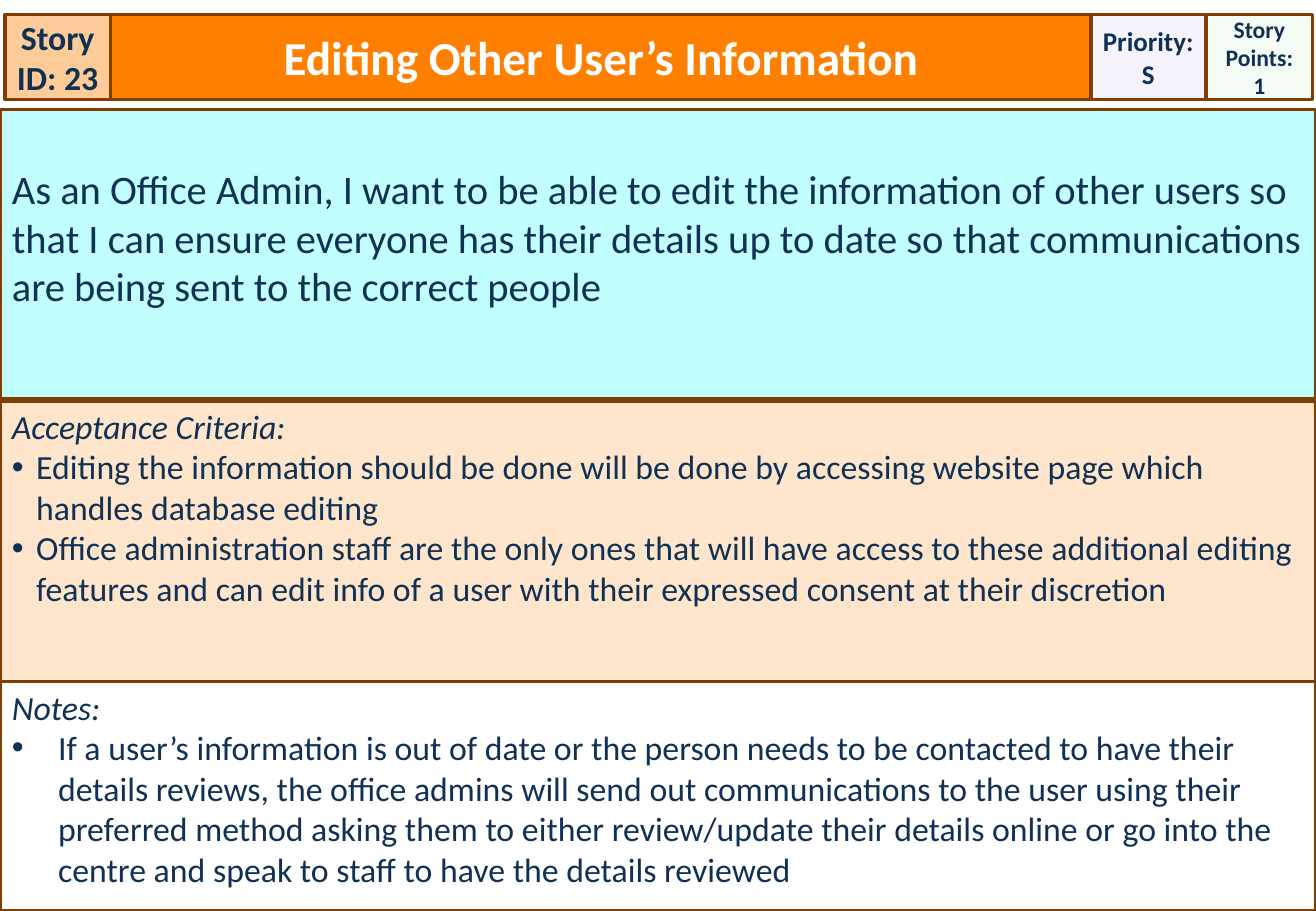
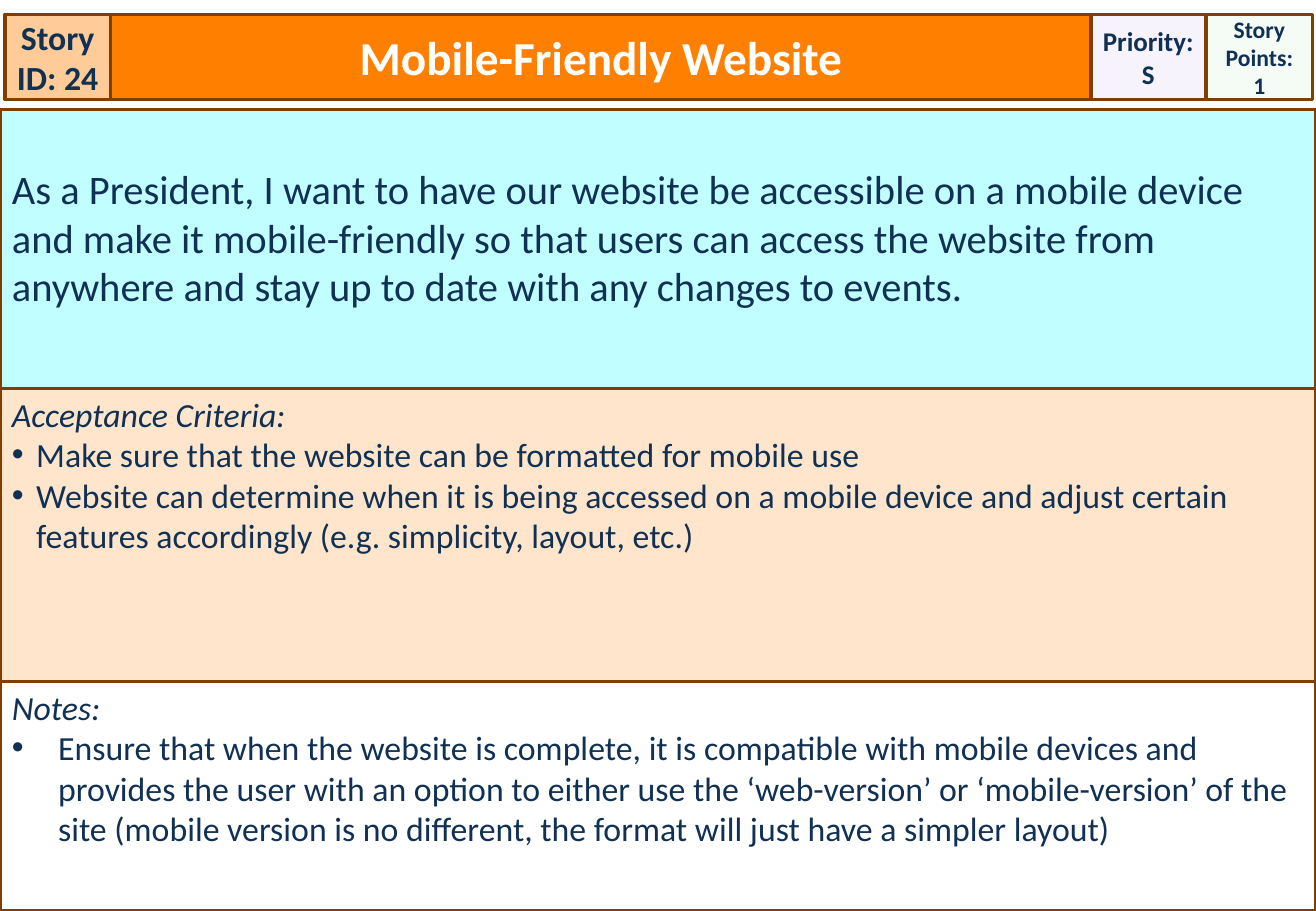
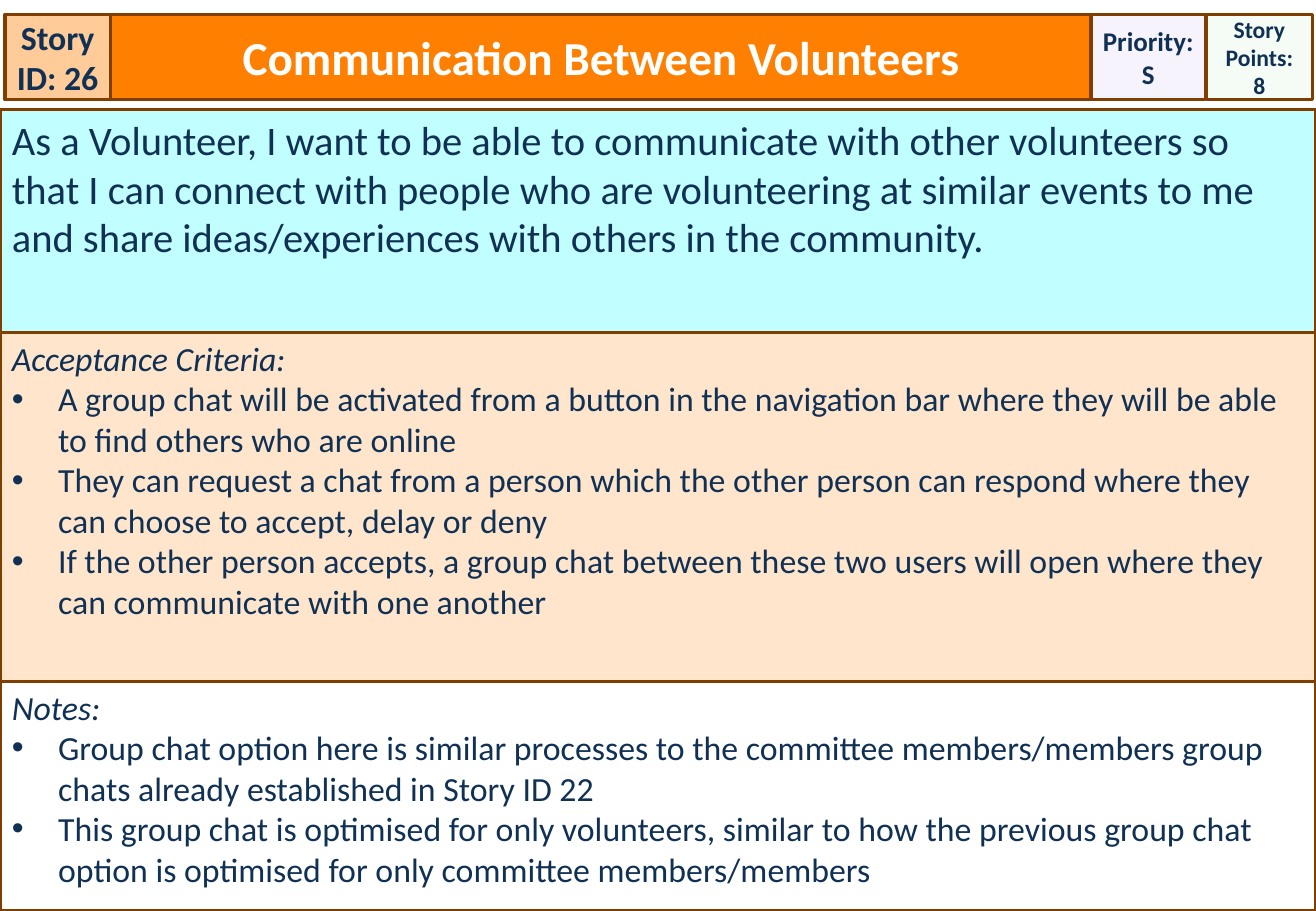
"""Build three user story cards, one per slide."""
from lxml.etree import SubElement
from pptx import Presentation
from pptx.dml.color import RGBColor
from pptx.enum.shapes import MSO_SHAPE
from pptx.enum.text import MSO_ANCHOR, PP_ALIGN
from pptx.oxml.ns import qn
from pptx.util import Inches, Pt

WIDTH, HEIGHT = 10.83, 7.5
FONT = "Calibri"
NAVY, BROWN, WHITE = "103154", "803F00", "FFFFFF"
ORANGE, PEACH, CREAM = "FF7F01", "FFCC99", "FFE5CC"
CYAN, LILAC, GREEN = "C0FEFF", "F6F3FC", "CCF0CD"
HEADER_TOP, HEADER_HEIGHT = 0.12, 0.7
STORY_TOP, NOTES_TOP = 0.9, 5.61
NARROW, WIDE = 0.2, 0.38

CARDS = [
    {
        "id": 23, "points": "1", "title": "Editing Other User’s Information",
        "story": "As an Office Admin, I want to be able to edit the information of other users so that I can "
                 "ensure everyone has their details up to date so that communications are being sent to the "
                 "correct people",
        "story_inset": 0.45, "story_bottom": 3.28, "criteria_top": 3.3, "criteria_indent": NARROW,
        "criteria": [
            "Editing the information should be done will be done by accessing website page which handles "
            "database editing",
            "Office administration staff are the only ones that will have access to these additional editing "
            "features and can edit info of a user with their expressed consent at their discretion",
        ],
        "notes": [
            "If a user’s information is out of date or the person needs to be contacted to have their details "
            "reviews, the office admins will send out communications to the user using their preferred method "
            "asking them to either review/update their details online or go into the centre and speak to staff "
            "to have the details reviewed",
        ],
    },
    {
        "id": 24, "points": "1", "title": "Mobile-Friendly Website",
        "story": "As a President, I want to have our website be accessible on a mobile device and make it "
                 "mobile-friendly so that users can access the website from anywhere and stay up to date with "
                 "any changes to events.",
        "story_inset": 0.45, "story_bottom": 3.2, "criteria_top": 3.2, "criteria_indent": NARROW,
        "criteria": [
            "Make sure that the website can be formatted for mobile use",
            "Website can determine when it is being accessed on a mobile device and adjust certain features "
            "accordingly (e.g. simplicity, layout, etc.)",
        ],
        "notes": [
            "Ensure that when the website is complete, it is compatible with mobile devices and provides the "
            "user with an option to either use the ‘web-version’ or ‘mobile-version’ of the site (mobile "
            "version is no different, the format will just have a simpler layout)",
        ],
    },
    {
        "id": 26, "points": "8", "title": "Communication Between Volunteers",
        "story": "As a Volunteer, I want to be able to communicate with other volunteers so that I can connect "
                 "with people who are volunteering at similar events to me and share ideas/experiences with "
                 "others in the community.",
        "story_inset": 0.05, "story_bottom": 2.76, "criteria_top": 2.74, "criteria_indent": WIDE,
        "criteria": [
            "A group chat will be activated from a button in the navigation bar where they will be able to "
            "find others who are online",
            "They can request a chat from a person which the other person can respond where they can choose "
            "to accept, delay or deny",
            "If the other person accepts, a group chat between these two users will open where they can "
            "communicate with one another",
        ],
        "notes": [
            "Group chat option here is similar processes to the committee members/members group chats already "
            "established in Story ID 22",
            "This group chat is optimised for only volunteers, similar to how the previous group chat option "
            "is optimised for only committee members/members",
        ],
    },
]


def paint(target, color):
    """Give a fill or a font a solid colour from a hex string."""
    if hasattr(target, "solid"):
        target.solid()
        target.fore_color.rgb = RGBColor.from_string(color)
    else:
        target.color.rgb = RGBColor.from_string(color)


def add_box(page, place, fill, lines, size, color=NAVY, header=False, side=0.1, top=0.05, indent=None):
    """Add a bordered box; with an indent, lines after the first are bullets under an italic heading."""
    box = page.shapes.add_shape(MSO_SHAPE.RECTANGLE, *[Inches(value) for value in place])
    box.shadow.inherit = False
    paint(box.fill, fill)
    paint(box.line, BROWN) if hasattr(box.line, "solid") else paint(box.line.fill, BROWN)
    box.line.width = Pt(2)
    frame = box.text_frame
    frame.word_wrap = True
    frame.vertical_anchor = MSO_ANCHOR.MIDDLE if header else MSO_ANCHOR.TOP
    frame.margin_left = frame.margin_right = Inches(side)
    frame.margin_top, frame.margin_bottom = Inches(top), Inches(0.05)
    for number, line in enumerate(lines):
        para = frame.add_paragraph() if number else frame.paragraphs[0]
        para.alignment = PP_ALIGN.CENTER if header else PP_ALIGN.LEFT
        span = para.add_run()
        span.text = line
        span.font.name, span.font.size = FONT, Pt(size)
        span.font.bold = header
        span.font.italic = indent is not None and number == 0
        paint(span.font, color)
        if indent and number:
            properties = para._p.get_or_add_pPr()
            properties.set("marL", str(Inches(indent)))
            properties.set("indent", str(-Inches(indent)))
            SubElement(properties, qn("a:buFont")).set("typeface", "Arial")
            SubElement(properties, qn("a:buChar")).set("char", "•")
    return box


deck = Presentation()
deck.slide_width, deck.slide_height = Inches(WIDTH), Inches(HEIGHT)

for card in CARDS:
    page = deck.slides.add_slide(deck.slide_layouts[6])
    story_place = (0, STORY_TOP, WIDTH, card["story_bottom"] - STORY_TOP)
    criteria_place = (0, card["criteria_top"], WIDTH, NOTES_TOP - card["criteria_top"])
    notes_place = (0, NOTES_TOP, WIDTH, HEIGHT - NOTES_TOP)

    add_box(page, (0.04, HEADER_TOP, 0.87, HEADER_HEIGHT), PEACH, [f"Story ID: {card['id']}"], 20,
            header=True, side=0)
    add_box(page, (0.91, HEADER_TOP, 8.07, HEADER_HEIGHT), ORANGE, [card["title"]], 28, WHITE, header=True)
    add_box(page, story_place, CYAN, [card["story"]], 24, top=card["story_inset"])
    add_box(page, criteria_place, CREAM, ["Acceptance Criteria:", *card["criteria"]], 20,
            top=0.04, indent=card["criteria_indent"])
    points_box = add_box(page, (9.93, HEADER_TOP, 0.87, HEADER_HEIGHT), GREEN,
                         ["Story Points:", card["points"]], 14, header=True, side=0)
    fill_color = points_box._element.spPr.find(qn("a:solidFill")).find(qn("a:srgbClr"))
    SubElement(fill_color, qn("a:alpha")).set("val", "20000")
    priority_box = add_box(page, (8.98, HEADER_TOP, 0.94, HEADER_HEIGHT), LILAC, ["Priority:", "S"], 16,
                           header=True, side=0)
    priority_box.text_frame.word_wrap = False
    add_box(page, notes_place, WHITE, ["Notes:", *card["notes"]], 20, top=0.04, indent=WIDE)

deck.save("out.pptx")
